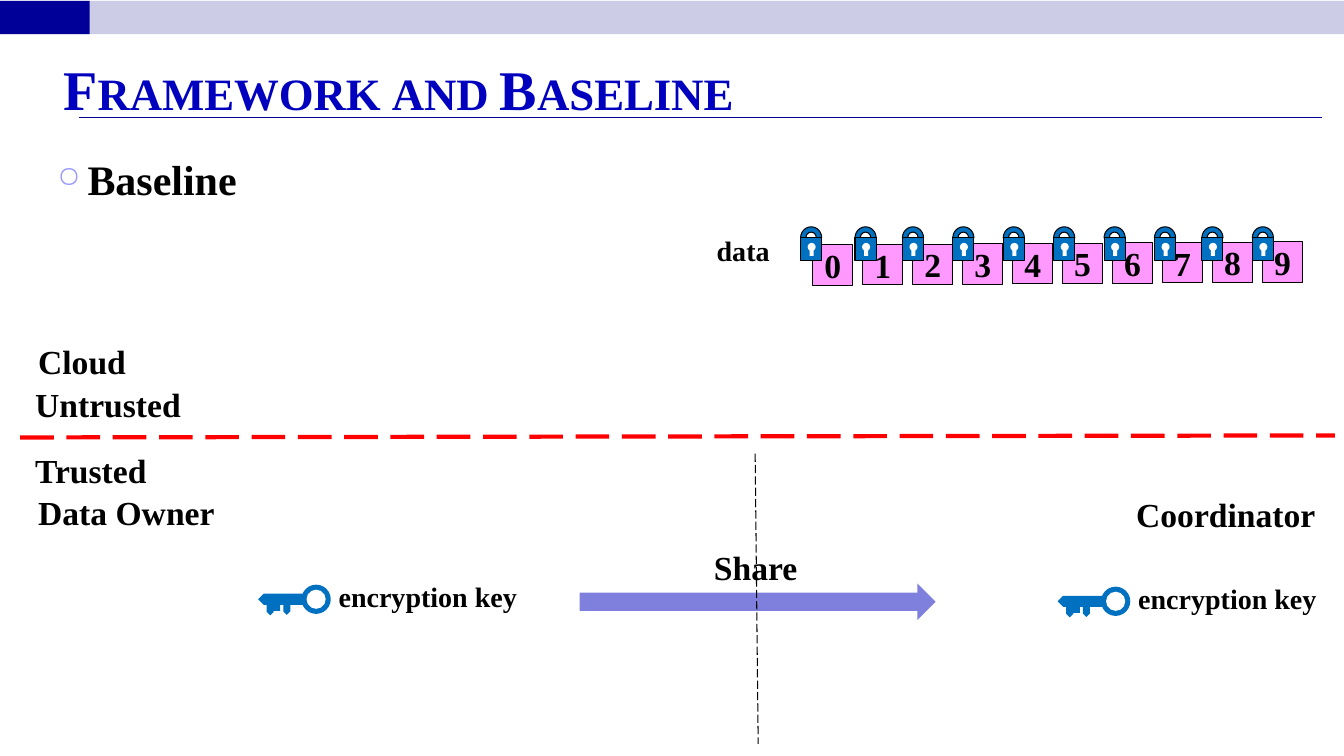
"""Build the Framework and Baseline slide: locked data in the cloud, keys shared below."""
import pptx
import pptx.dml.color
import pptx.enum.dml
import pptx.enum.shapes
import pptx.enum.text
import pptx.oxml.ns
import pptx.util
from lxml import etree

RGBColor = pptx.dml.color.RGBColor
BLACK = RGBColor(0x00, 0x00, 0x00)
WHITE = RGBColor(0xFF, 0xFF, 0xFF)
RED = RGBColor(0xFF, 0x00, 0x00)
NAVY = RGBColor(0x00, 0x00, 0x99)
TITLE_BLUE = RGBColor(0x00, 0x00, 0xBE)
PALE_BLUE = RGBColor(0xCC, 0xCC, 0xE6)
ICON_BLUE = RGBColor(0x00, 0x70, 0xC0)
PINK = RGBColor(0xFF, 0x99, 0xFF)

KIND = pptx.enum.shapes.MSO_SHAPE
ANCHOR = pptx.enum.text.MSO_ANCHOR
ALIGN = pptx.enum.text.PP_ALIGN
LONG_DASH = pptx.enum.dml.MSO_LINE.LONG_DASH
qn = pptx.oxml.ns.qn

presentation = pptx.Presentation()
presentation.slide_width = pptx.util.Inches(13.33)
presentation.slide_height = pptx.util.Inches(7.5)
COLUMN = presentation.slide_width / 13.33
ROW = presentation.slide_height / 7.5
slide = presentation.slides.add_slide(presentation.slide_layouts[6])


def add_piece(shapes, kind, left, top, width, height, fill, line=None, rotation=0):
    """Add a flat shape, placed in columns and rows."""
    shape = shapes.add_shape(kind, round(left * COLUMN), round(top * ROW),
                             round(width * COLUMN), round(height * ROW))
    shape.shadow.inherit = False
    shape.rotation = rotation
    shape.fill.solid()
    shape.fill.fore_color.rgb = fill
    if line is None:
        shape.line.fill.background()
    else:
        shape.line.color.rgb = line
        shape.line.width = pptx.util.Pt(0.75)
    return shape


def add_text(left, top, width, height, text, size, color=BLACK, wrap=True):
    """Add a bold one-line text box, placed in columns and rows."""
    box = slide.shapes.add_textbox(round(left * COLUMN), round(top * ROW),
                                   round(width * COLUMN), round(height * ROW))
    box.text_frame.word_wrap = wrap
    run = box.text_frame.paragraphs[0].add_run()
    run.text = text
    run.font.name = "Times New Roman"
    run.font.size = pptx.util.Pt(size)
    run.font.bold = True
    run.font.color.rgb = color
    return box.text_frame


add_piece(slide.shapes, KIND.RECTANGLE, 0, 0.01, 13.33, 0.33, PALE_BLUE)
add_piece(slide.shapes, KIND.RECTANGLE, 0, 0.01, 0.89, 0.33, NAVY)

title = add_text(0.53, 0.52, 12.25, 0.74, "Framework and Baseline", 40, TITLE_BLUE)
title.vertical_anchor = ANCHOR.BOTTOM
title.paragraphs[0].runs[0].font._element.set("cap", "small")

body = add_text(0.47, 1.47, 11.97, 5.48, "Baseline", 30).paragraphs[0]
body.space_before = pptx.util.Pt(6)
properties = body._p.get_or_add_pPr()
properties.set("marL", str(round(0.3 * COLUMN)))
properties.set("indent", str(round(-0.3 * COLUMN)))
bullet_color = etree.SubElement(properties, qn("a:buClr"))
etree.SubElement(bullet_color, qn("a:srgbClr"), val="9999FF")
etree.SubElement(properties, qn("a:buSzPct"), val="70000")
etree.SubElement(properties, qn("a:buChar"), char="○")

for left, top, width, text in [
    (0.28, 3.33, 1.23, "Cloud"),
    (0.25, 3.76, 1.75, "Untrusted"),
    (0.25, 4.41, 1.75, "Trusted"),
    (0.28, 4.83, 2.01, "Data Owner"),
    (11.17, 4.85, 2.01, "Coordinator"),
]:
    add_text(left, top, width, 0.5, text, 24)

share = add_text(5.74, 5.38, 3.51, 0.5, "Share", 24)
share.vertical_anchor = ANCHOR.MIDDLE
share.paragraphs[0].alignment = ALIGN.CENTER

arrow = add_piece(slide.shapes, KIND.RIGHT_ARROW, 5.75, 5.79, 3.53, 0.36, TITLE_BLUE)
arrow_color = arrow._element.spPr.find(qn("a:solidFill")).find(qn("a:srgbClr"))
etree.SubElement(arrow_color, qn("a:alpha"), val="50000")

for start_x, start_y, end_x, end_y, color, weight, dash in [
    (0.78, 1.17, 13.11, 1.17, NAVY, 0.75, None),
    (0.2, 4.34, 13.24, 4.32, RED, 3, LONG_DASH),
    (7.49, 4.5, 7.52, 7.38, BLACK, 0.75, LONG_DASH),
]:
    connector = slide.shapes.add_connector(
        pptx.enum.shapes.MSO_CONNECTOR.STRAIGHT,
        round(start_x * COLUMN), round(start_y * ROW),
        round(end_x * COLUMN), round(end_y * ROW))
    connector.line.color.rgb = color
    connector.line.width = pptx.util.Pt(weight)
    connector.line.dash_style = dash
    etree.SubElement(connector._element.spPr, qn("a:effectLst"))

for left, top in [(2.56, 5.8), (10.49, 5.82)]:
    key = slide.shapes.add_group_shape().shapes
    for kind, x, y, width, height, fill, rotation in [
        (KIND.OVAL, 0.43, 0, 0.29, 0.29, ICON_BLUE, 0),
        (KIND.PENTAGON, 0, 0.09, 0.5, 0.11, ICON_BLUE, 180),
        (KIND.OVAL, 0.48, 0.05, 0.19, 0.19, WHITE, 0),
        (KIND.PENTAGON, 0.05, 0.2, 0.14, 0.07, ICON_BLUE, 90),
        (KIND.RECTANGLE, 0.15, 0.17, 0.07, 0.09, ICON_BLUE, 0),
        (KIND.PENTAGON, 0.21, 0.19, 0.15, 0.07, ICON_BLUE, 90),
    ]:
        add_piece(key, kind, left + x, top + y, width, height, fill, rotation=rotation)
    add_text(left + 0.7, top - 0.1, 1.98, 0.44, "encryption key", 20)

add_text(7.01, 2.27, 0.73, 0.44, "data", 20, wrap=False)
for digit in range(10):
    left, top = 8.06 + 4.46 * digit / 9, 2.43 - 0.03 * digit / 9
    add_piece(slide.shapes, KIND.RECTANGLE, left, top, 0.4, 0.4, PINK, BLACK)
    label = add_text(left, top, 0.4, 0.4, str(digit), 24)
    label.margin_left = label.margin_right = 0
    label.vertical_anchor = ANCHOR.MIDDLE
    label.paragraphs[0].alignment = ALIGN.CENTER

lock_lefts = [7.94, 8.48, 8.95, 9.45, 9.95, 10.45, 10.95, 11.45, 11.92, 12.42]
for left in lock_lefts:
    lock = slide.shapes.add_group_shape().shapes
    for kind, x, y, width, height, fill, line in [
        (KIND.BLOCK_ARC, 0, 0, 0.21, 0.22, ICON_BLUE, BLACK),
        (KIND.RECTANGLE, 0, 0.11, 0.21, 0.22, ICON_BLUE, BLACK),
        (KIND.OVAL, 0.07, 0.16, 0.08, 0.08, WHITE, None),
        (KIND.RECTANGLE, 0.09, 0.21, 0.04, 0.08, WHITE, None),
    ]:
        add_piece(lock, kind, left + x, 2.25 + y, width, height, fill, line)

presentation.save("out.pptx")
